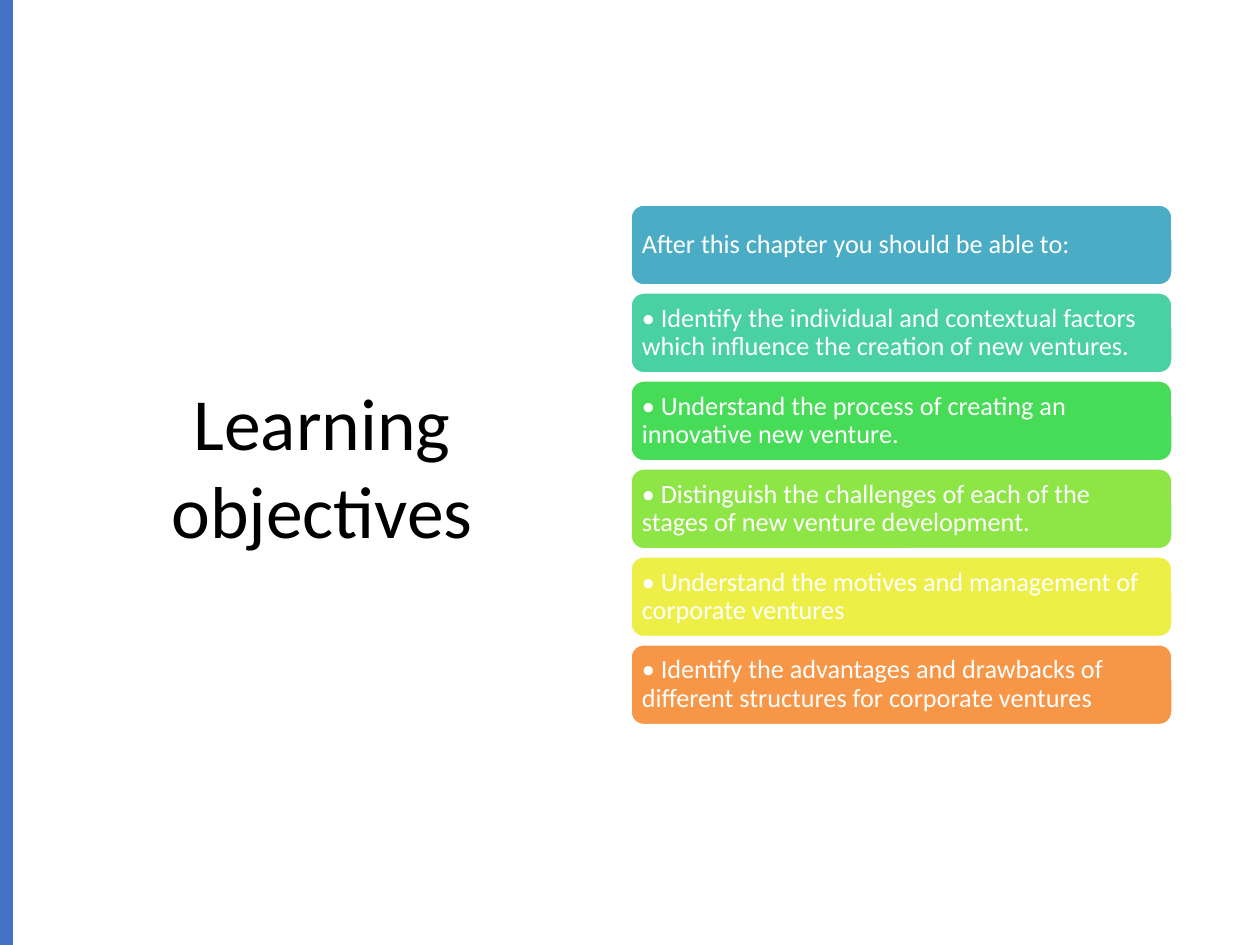
from dataclasses import dataclass

from pptx import Presentation
from pptx.dml.color import RGBColor
from pptx.enum.shapes import MSO_SHAPE as Shape
from pptx.enum.text import MSO_ANCHOR as Anchor, PP_ALIGN as Align
from pptx.slide import Slide
from pptx.text.text import TextFrame
from pptx.util import Pt

COLORS = {
    "black": "000000",
    "white": "FFFFFF",
    "accent": "4472C4",
    "blue": "4BACC6",
    "teal": "49D1A3",
    "green": "47DC57",
    "lime": "8DE646",
    "yellow": "EEEF46",
    "orange": "F79646",
}
FONT = "Calibri"
CARD_LEFT, CARD_TOP = 360, 116.6
CARD_WIDTH, CARD_HEIGHT = 310.3, 46.8
CARD_PITCH = 50.25
CARD_INSET = 4.5


@dataclass
class Card:
    text: str
    color: str


CARDS = [
    Card("After this chapter you should be able to:", "blue"),
    Card("• Identify the individual and contextual factors which influence the creation of new ventures.", "teal"),
    Card("• Understand the process of creating an innovative new venture.", "green"),
    Card("• Distinguish the challenges of each of the stages of new venture development.", "lime"),
    Card("• Understand the motives and management of corporate ventures", "yellow"),
    Card("• Identify the advantages and drawbacks of different structures for corporate ventures", "orange"),
]


def rgb(name: str) -> RGBColor:
    """Return the named colour."""
    return RGBColor.from_string(COLORS[name])


def write_text(text_frame: TextFrame, text: str, size: float, color: str, alignment: Align) -> None:
    """Fill a frame with one vertically centred paragraph."""
    text_frame.text = text
    text_frame.word_wrap = True
    text_frame.vertical_anchor = Anchor.MIDDLE
    paragraph = text_frame.paragraphs[0]
    paragraph.alignment = alignment
    font = paragraph.runs[0].font
    font.name, font.size = FONT, Pt(size)
    font.color.rgb = rgb(color)


def add_title(slide: Slide, text: str) -> None:
    """Add the large title on the left half."""
    box = slide.shapes.add_textbox(Pt(31), Pt(49), Pt(306), Pt(433.4))
    write_text(box.text_frame, text, 42, "black", Align.CENTER)


def add_side_bar(slide: Slide, height: int) -> None:
    """Add the accent bar along the left edge."""
    bar = slide.shapes.add_shape(Shape.RECTANGLE, 0, 0, Pt(7.4), height)
    bar.shadow.inherit = False
    bar.fill.solid()
    bar.fill.fore_color.rgb = rgb("accent")
    bar.line.fill.background()


def add_card(slide: Slide, card: Card, index: int) -> None:
    """Add one rounded objective card at its row in the stack."""
    shape = slide.shapes.add_shape(
        Shape.ROUNDED_RECTANGLE,
        Pt(CARD_LEFT), Pt(CARD_TOP + index * CARD_PITCH), Pt(CARD_WIDTH), Pt(CARD_HEIGHT),
    )
    shape.shadow.inherit = False
    shape.fill.solid()
    shape.fill.fore_color.rgb = rgb(card.color)
    shape.line.color.rgb = rgb("white")
    shape.line.width = Pt(2)
    text_frame = shape.text_frame
    text_frame.margin_left = text_frame.margin_right = Pt(CARD_INSET)
    text_frame.margin_top = text_frame.margin_bottom = Pt(CARD_INSET)
    write_text(text_frame, card.text, 15, "white", Align.LEFT)
    text_frame.paragraphs[0].line_spacing = 0.9


def main() -> None:
    """Build and save the learning objectives slide."""
    presentation = Presentation()
    presentation.slide_width, presentation.slide_height = Pt(720), Pt(540)
    slide = presentation.slides.add_slide(presentation.slide_layouts[6])
    add_title(slide, "Learning objectives")
    add_side_bar(slide, presentation.slide_height)
    for index, card in enumerate(CARDS):
        add_card(slide, card, index)
    presentation.save("out.pptx")


if __name__ == "__main__":
    main()
